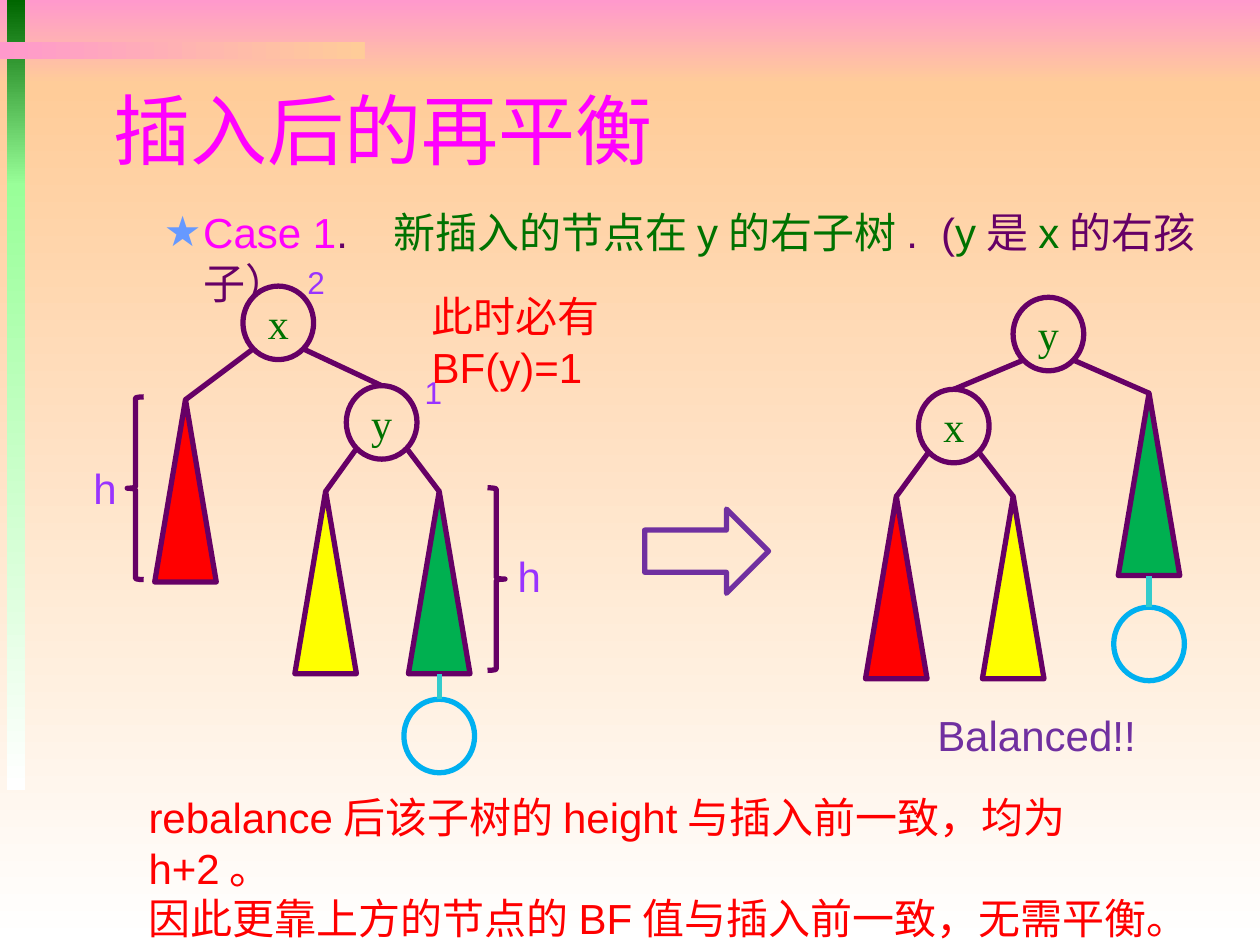
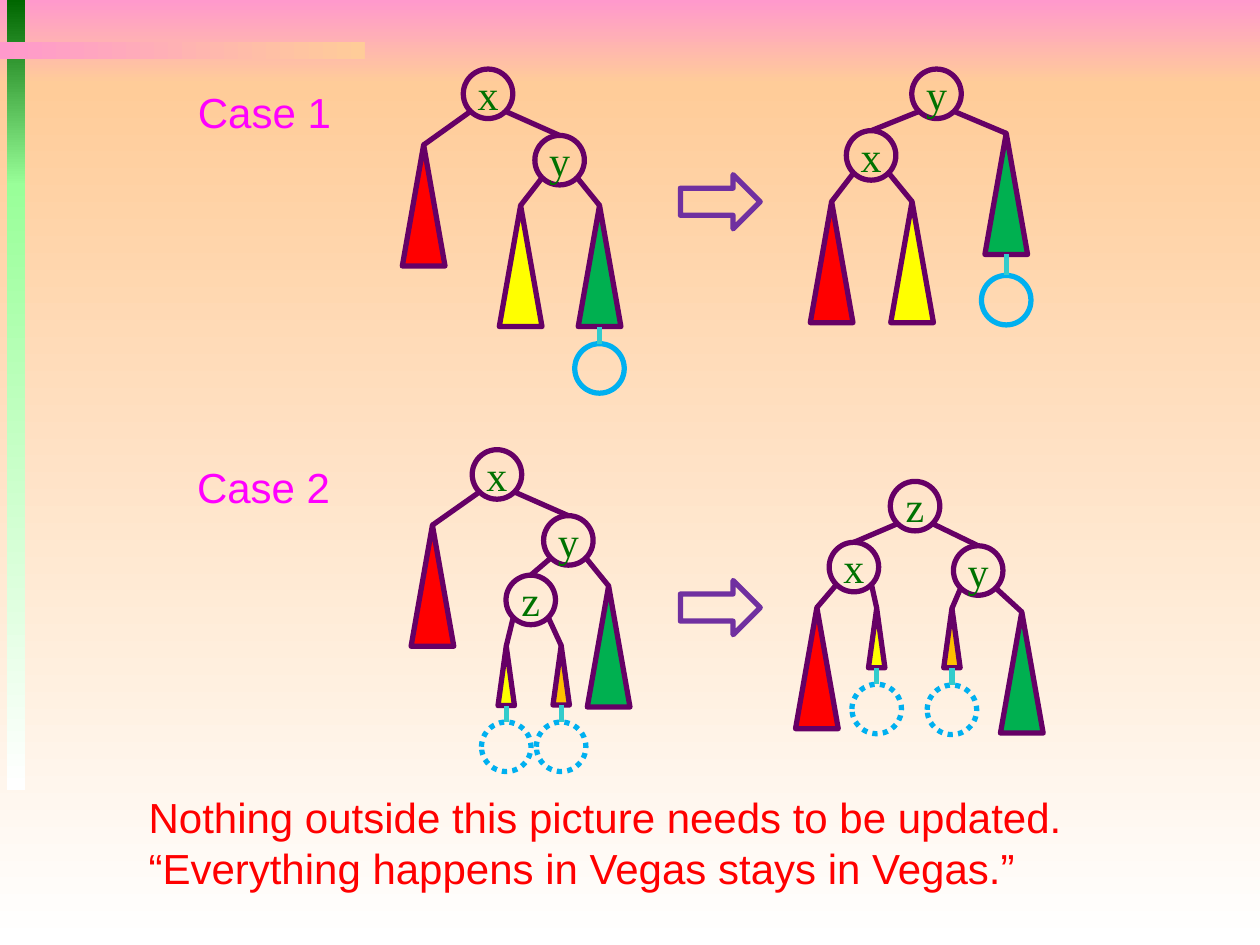
import lxml.etree
import pptx
import pptx.dml.color
import pptx.enum.dml
import pptx.enum.shapes
import pptx.enum.text
import pptx.oxml.ns
import pptx.util

Pt = pptx.util.Pt
SHAPE = pptx.enum.shapes.MSO_SHAPE

# Shared colours and fonts
PURPLE, VIOLET, INDIGO = "660066", "9933FF", "7030A0"
MAGENTA, DARK_GREEN, SKY, TEAL = "FF00FF", "007200", "00B0F0", "33CCCC"
RED, YELLOW, GREEN, ORANGE = "FF0000", "FFFF00", "00B050", "FFC000"
BODY_FONT, NODE_FONT, TITLE_FONT = "Arial", "Times New Roman", "Roboto Condensed"
LINE_WIDTH = 3

# Master bands: left, top, width, height, first colour, last colour, angle
BANDS = [
    (0, 0, 720, 48, "FF99CC", "FFCC99", 270),
    (0, 48, 720, 492, "FFCC99", "FFFFFF", 270),
    (4.1, 0, 10.1, 106.2, "006600", "99FF99", 270),
    (4.1, 105, 10.1, 346.5, "99FF99", "FFFFFF", 270),
    (0, 24, 208.4, 10, "FF99CC", "FFCC99", 0),
]

# Sizes of nodes and subtrees on each slide
LARGE = {"node": (40.4, 42), "full": (35.2, 104.2)}
SMALL = {"node": (28.3, 28.3), "full": (24.4, 69.2), "half": (9.4, 34)}


def node(label, center, top, left, right):
    return {"label": label, "center": center, "top": top, "children": (left, right)}


def subtree(color, center, top, inserted_top=None, size="full"):
    return {"color": color, "center": center, "top": top,
            "inserted_top": inserted_top, "size": size}


REBALANCE = {
    "title": "插入后的再平衡",
    # Text, colour, extra letter spacing
    "case": [
        ("Case 1", MAGENTA, 0),
        (". ", PURPLE, 6.7),
        ("新插入的节点在y的右子树", DARK_GREEN, 0),
        (". ", PURPLE, 3.3),
        ("(", PURPLE, 0),
        ("y", DARK_GREEN, 0),
        ("是", PURPLE, 0),
        ("x", DARK_GREEN, 0),
        ("的右孩子）", PURPLE, 0),
    ],
    "sizes": LARGE,
    "trees": [
        node("x", 159, 163.5,
             subtree(RED, 106, 228.4),
             node("y", 218.1, 220.4,
                  subtree(YELLOW, 186.1, 280.8),
                  subtree(GREEN, 251, 280.8, 399.6))),
        node("y", 599.1, 169.9,
             node("x", 545, 222.5,
                  subtree(RED, 512.2, 283.7),
                  subtree(YELLOW, 579, 283.7)),
             subtree(GREEN, 656.6, 224.7, 347)),
    ],
    "braces": [
        (SHAPE.RIGHT_BRACE, 278.6, 278.7, 10, 104.4),
        (SHAPE.LEFT_BRACE, 72.7, 226.8, 9.4, 104.4),
    ],
    "arrows": [(368.4, 290.9, 70.8, 48.2)],
    # Left, top, width, height, size, colour, lines
    "texts": [
        (235.6, 209.5, 31.5, 29, 18, VIOLET, ["1"]),
        (168.5, 147, 31.5, 29, 18, VIOLET, ["2"]),
        (288.7, 311, 31.5, 36, 24, VIOLET, ["h"]),
        (46.3, 260.6, 31.5, 36, 24, VIOLET, ["h"]),
        (528.5, 402, 148, 36, 24, INDIGO, ["Balanced!!"]),
        (239.6, 162.7, 198, 36, 24, RED, ["此时必有BF(y)=1"]),
        (77.8, 449, 602.6, 65.5, 24, RED,
         ["rebalance后该子树的height与插入前一致，均为h+2。",
          "因此更靠上方的节点的BF值与插入前一致，无需平衡。"]),
    ],
}

SUMMARY = {
    "sizes": SMALL,
    "trees": [
        node("x", 278.9, 39.5,
             subtree(RED, 242.1, 82.8),
             node("y", 319.8, 77.4,
                  subtree(YELLOW, 297.5, 117.4),
                  subtree(GREEN, 342.6, 117.4, 196.4))),
        node("y", 535.2, 39.5,
             node("x", 497.8, 74.7,
                  subtree(RED, 475.2, 115.2),
                  subtree(YELLOW, 521.2, 115.2)),
             subtree(GREEN, 575, 76.2, 157.4)),
        node("x", 284, 257,
             subtree(RED, 247.1, 300.1),
             node("y", 324.8, 294.7,
                  node("z", 303.3, 328.7,
                       subtree(YELLOW, 289.3, 369.2, 412.6, "half"),
                       subtree(ORANGE, 320.7, 368.9, 412.6, "half")),
                  subtree(GREEN, 347.8, 334.8))),
        node("z", 522.9, 275.1,
             node("x", 488, 309.9,
                  subtree(RED, 466.8, 347.2),
                  subtree(YELLOW, 501, 347.6, 391, "half")),
             node("y", 559, 311.9,
                  subtree(ORANGE, 544, 347.6, 391.5, "half"),
                  subtree(GREEN, 583.9, 349.7))),
    ],
    "braces": [],
    "arrows": [(388.8, 99.8, 45.6, 31), (388.8, 331.7, 45.6, 31)],
    "texts": [
        (106, 45.7, 106.6, 36, 24, MAGENTA, ["Case 1"]),
        (105.5, 259.9, 106.6, 36, 24, MAGENTA, ["Case 2"]),
        (77.8, 449, 541.4, 65.5, 24, RED,
         ["Nothing outside this picture needs to be updated.",
          "“Everything happens in Vegas stays in Vegas.”"]),
    ],
}


def rgb(color):
    return pptx.dml.color.RGBColor.from_string(color)


def set_font(font, name, size, color=None):
    font.name, font.size = name, Pt(size)
    if color:
        font.color.rgb = rgb(color)


def add_outline(slide, kind, left, top, width, height, line, fill=None):
    shape = slide.shapes.add_shape(kind, Pt(left), Pt(top), Pt(width), Pt(height))
    shape.shadow.inherit = False
    if fill:
        shape.fill.solid()
        shape.fill.fore_color.rgb = rgb(fill)
    else:
        shape.fill.background()
    shape.line.color.rgb = rgb(line)
    shape.line.width = Pt(LINE_WIDTH)
    return shape


def add_line(slide, start, end, color):
    line = slide.shapes.add_connector(
        pptx.enum.shapes.MSO_CONNECTOR.STRAIGHT, *[Pt(value) for value in start + end])
    line.line.color.rgb = rgb(color)
    line.line.width = Pt(LINE_WIDTH)
    lxml.etree.SubElement(line._element.spPr, pptx.oxml.ns.qn("a:effectLst"))


def add_text(slide, left, top, width, height, size, color, lines):
    frame = slide.shapes.add_textbox(Pt(left), Pt(top), Pt(width), Pt(height)).text_frame
    frame.word_wrap = True
    frame.auto_size = pptx.enum.text.MSO_AUTO_SIZE.SHAPE_TO_FIT_TEXT
    frame.text = "\n".join(lines)
    for paragraph in frame.paragraphs:
        set_font(paragraph.font, BODY_FONT, size, color)


def add_circle(slide, center, top, sizes, color):
    width, height = sizes["node"]
    return add_outline(slide, SHAPE.OVAL, center - width / 2, top, width, height, color)


def add_subtree(slide, tree, sizes):
    center, top = tree["center"], tree["top"]
    width, height = sizes[tree["size"]]
    add_outline(slide, SHAPE.ISOSCELES_TRIANGLE, center - width / 2, top,
                width, height, PURPLE, tree["color"])
    if tree["inserted_top"]:
        circle = add_circle(slide, center, tree["inserted_top"], sizes, SKY)
        if tree["size"] == "half":
            circle.line.dash_style = pptx.enum.dml.MSO_LINE.ROUND_DOT
        add_line(slide, (center, tree["inserted_top"]), (center, top + height), TEAL)


def add_tree(slide, tree, sizes):
    if "color" in tree:
        add_subtree(slide, tree, sizes)
        return
    circle = add_circle(slide, tree["center"], tree["top"], sizes, PURPLE)
    frame = circle.text_frame
    frame.margin_left = frame.margin_right = frame.margin_top = frame.margin_bottom = 0
    frame.text = tree["label"]
    paragraph = frame.paragraphs[0]
    paragraph.alignment = pptx.enum.text.PP_ALIGN.CENTER
    set_font(paragraph.font, NODE_FONT, 24, DARK_GREEN)
    # Edges leave the circle on its lower diagonals
    width, height = sizes["node"]
    for side, child in zip((-1, 1), tree["children"]):
        start = (tree["center"] + side * width * 0.354, tree["top"] + height * 0.854)
        add_line(slide, start, (child["center"], child["top"]), PURPLE)
        add_tree(slide, child, sizes)


def add_bands(slide, master):
    """Draw the gradient bands and move them to the back of the master."""
    for index, (left, top, width, height, first, last, angle) in enumerate(BANDS):
        band = slide.shapes.add_shape(
            SHAPE.RECTANGLE, Pt(left), Pt(top), Pt(width), Pt(height))
        band.shadow.inherit = False
        band.line.fill.background()
        band.fill.gradient()
        band.fill.gradient_angle = angle
        for stop, color, position in zip(band.fill.gradient_stops, (first, last), (0, 1)):
            stop.color.rgb = rgb(color)
            stop.position = position
        master.shapes._spTree.insert(2 + index, band._element)


def place(shape, left, top, width, height):
    shape.left, shape.top, shape.width, shape.height = map(Pt, (left, top, width, height))
    shape.text_frame.auto_size = pptx.enum.text.MSO_AUTO_SIZE.NONE


def fill_title(shape, text):
    place(shape, 57.6, 41, 612, 64.8)
    shape.text_frame.vertical_anchor = pptx.enum.text.MSO_ANCHOR.MIDDLE
    shape.text_frame.text = text
    paragraph = shape.text_frame.paragraphs[0]
    paragraph.alignment = pptx.enum.text.PP_ALIGN.LEFT
    set_font(paragraph.font, TITLE_FONT, 44, MAGENTA)


def fill_case(shape, runs):
    place(shape, 50.4, 114.5, 669.6, 41)
    paragraph = shape.text_frame.paragraphs[0]
    paragraph.level = 1
    paragraph.space_before = Pt(4.8)
    # Star bullet with a hanging indent
    properties = paragraph._p.get_or_add_pPr()
    properties.set("marL", str(Pt(58.5)))
    properties.set("indent", str(Pt(-22.5)))
    qn = pptx.oxml.ns.qn
    bullet_color = lxml.etree.SubElement(properties, qn("a:buClr"))
    lxml.etree.SubElement(bullet_color, qn("a:srgbClr"), val="6699FF")
    lxml.etree.SubElement(properties, qn("a:buChar"), char="★")
    set_font(paragraph.font, BODY_FONT, 24)
    for text, color, spacing in runs:
        run = paragraph.add_run()
        run.text = text
        run.font.color.rgb = rgb(color)
        if spacing:
            run._r.get_or_add_rPr().set("spc", str(round(spacing * 100)))


def draw_content(slide, content):
    for tree in content["trees"]:
        add_tree(slide, tree, content["sizes"])
    for kind, *box in content["braces"]:
        add_outline(slide, kind, *box, PURPLE)
    for box in content["arrows"]:
        add_outline(slide, SHAPE.RIGHT_ARROW, *box, INDIGO)
    for text in content["texts"]:
        add_text(slide, *text)


def main():
    presentation = pptx.Presentation()
    presentation.slide_width, presentation.slide_height = Pt(720), Pt(540)
    layouts = presentation.slide_layouts

    # Rebalancing after an insertion
    slide = presentation.slides.add_slide(layouts[1])
    add_bands(slide, presentation.slide_master)
    fill_title(slide.shapes.title, REBALANCE["title"])
    fill_case(slide.placeholders[1], REBALANCE["case"])
    draw_content(slide, REBALANCE)

    # Both cases side by side
    draw_content(presentation.slides.add_slide(layouts[6]), SUMMARY)

    presentation.save("out.pptx")


if __name__ == "__main__":
    main()
